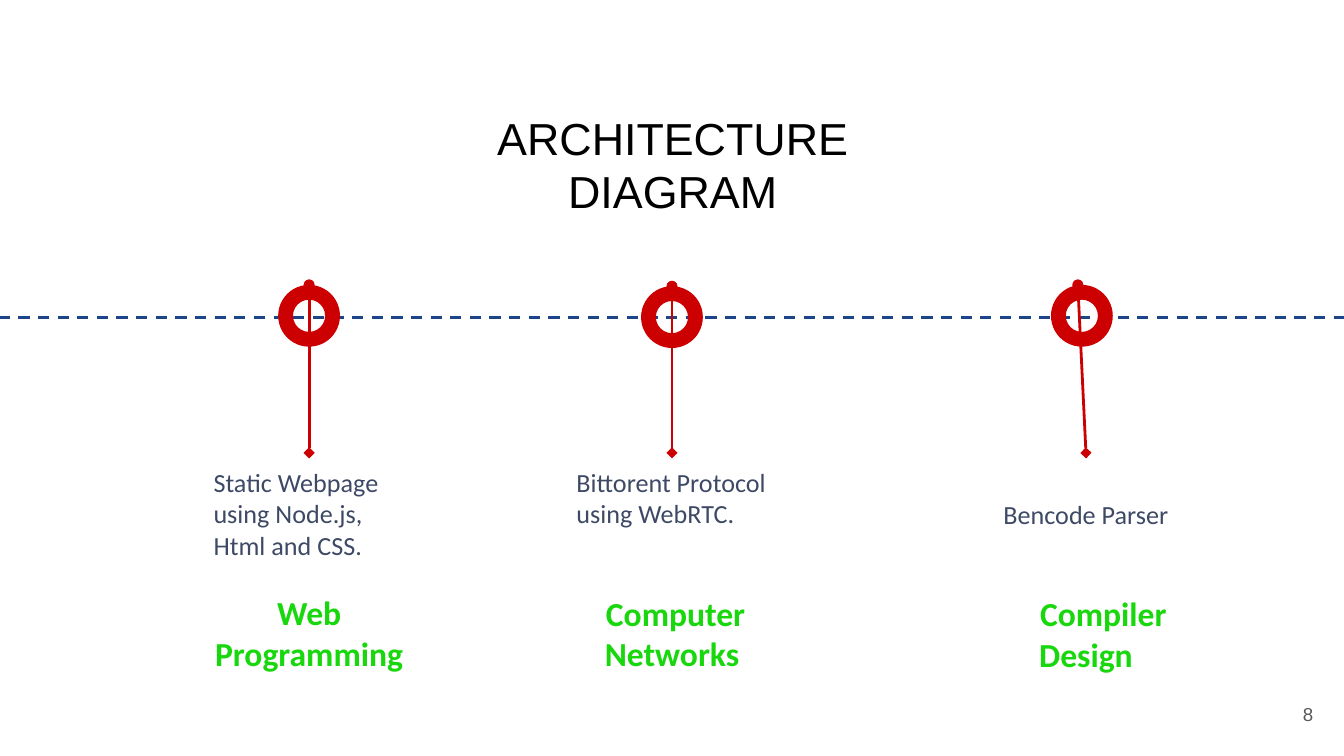
from lxml import etree
from pptx import Presentation
from pptx.dml.color import RGBColor
from pptx.enum.dml import MSO_LINE
from pptx.enum.shapes import MSO_CONNECTOR, MSO_SHAPE
from pptx.enum.text import MSO_ANCHOR, PP_ALIGN
from pptx.oxml.ns import qn
from pptx.util import Inches, Pt

LEFT, CENTER, RIGHT = PP_ALIGN.LEFT, PP_ALIGN.CENTER, PP_ALIGN.RIGHT
TOP, MIDDLE = MSO_ANCHOR.TOP, MSO_ANCHOR.MIDDLE
DASH = MSO_LINE.DASH
STRAIGHT = MSO_CONNECTOR.STRAIGHT
DONUT = MSO_SHAPE.DONUT

COLORS = {
    "title": "000000",
    "timeline": "1C4587",
    "marker": "CC0000",
    "description": "3D4965",
    "subject": "18D70D",
    "number": "595959",
}
STYLES = {
    "title": {"name": "Arial", "size": Pt(24)},
    "description": {"name": "Calibri", "size": Pt(14)},
    "subject": {"name": "Calibri", "size": Pt(18), "bold": True},
    "number": {"name": "Arial", "size": Pt(10)},
}

TIMELINE_Y = 2.36
PIN_BOTTOM = 3.37
TEXT_BOTTOM = 5.44
RING = 0.46
LINE_GAP = 17  # points, one description line

# Paragraphs are (text, style, alignment, format values)
STAGES = [
    {"ring": (2.07, 2.12), "pin": (2.3, 2.3), "text": (1.49, 3.37, 1.62),
     "paragraphs": [
         ("Static Webpage using Node.js, Html and CSS.", "description", LEFT, {}),
         ("Web Programming", "subject", CENTER, {"space_before": Pt(LINE_GAP)})]},
    {"ring": (4.77, 2.13), "pin": (5, 5), "text": (4.19, 3.37, 1.62),
     "paragraphs": [
         ("Bittorent Protocol using WebRTC.", "description", LEFT, {}),
         ("Computer", "subject", LEFT,
          {"space_before": Pt(2 * LINE_GAP), "indent": 0.22}),
         ("Networks", "subject", CENTER, {})]},
    {"ring": (7.82, 2.12), "pin": (8.02, 8.08), "text": (6.89, 3.61, 2.38),
     "paragraphs": [
         ("Bencode Parser", "description", CENTER, {}),
         ("Compiler", "subject", LEFT,
          {"space_before": Pt(2 * LINE_GAP), "indent": 0.75}),
         ("Design", "subject", CENTER, {})]},
]


def color(name):
    return RGBColor.from_string(COLORS[name])


def add_text(slide, box, paragraphs, anchor=TOP):
    tf = slide.shapes.add_textbox(*map(Inches, box)).text_frame
    tf.word_wrap = True
    tf.vertical_anchor = anchor
    for side in ("left", "top", "right", "bottom"):
        setattr(tf, f"margin_{side}", Inches(0.1))
    for i, (text, style, alignment, values) in enumerate(paragraphs):
        p = tf.add_paragraph() if i else tf.paragraphs[0]
        p.alignment = alignment
        for key, value in values.items():
            if key == "indent":
                p._p.get_or_add_pPr().set("marL", str(Inches(value)))
            else:
                setattr(p, key, value)
        r = p.add_run()
        r.text = text
        for key, value in STYLES[style].items():
            setattr(r.font, key, value)
        r.font.color.rgb = color(style)


def add_line(slide, start, end, color_name):
    line = slide.shapes.add_connector(STRAIGHT, *map(Inches, start + end))
    line.line.color.rgb = color(color_name)
    line.line.width = Pt(1.5)
    etree.SubElement(line._element.spPr, qn("a:effectLst"))
    return line


def add_timeline(slide):
    line = add_line(slide, (-0.01, TIMELINE_Y), (10.01, TIMELINE_Y), "timeline")
    line.line.dash_style = DASH


def add_ring(slide, left, top):
    sp = slide.shapes.add_shape(DONUT, *map(Inches, (left, top, RING, RING)))
    sp.adjustments[0] = 0.24
    sp.shadow.inherit = False
    sp.fill.solid()
    sp.fill.fore_color.rgb = color("marker")
    sp.line.fill.background()


def add_pin(slide, top_x, top, bottom_x):
    """Add a line with an oval at the ring and a diamond at the text."""
    pin = add_line(slide, (top_x, top), (bottom_x, PIN_BOTTOM), "marker")
    ln = pin.line._get_or_add_ln()
    for tag, kind in (("a:headEnd", "oval"), ("a:tailEnd", "diamond")):
        etree.SubElement(ln, qn(tag), type=kind, w="med", len="med")


def add_stage(slide, stage):
    ring_left, ring_top = stage["ring"]
    top_x, bottom_x = stage["pin"]
    left, top, width = stage["text"]
    add_ring(slide, ring_left, ring_top)
    add_pin(slide, top_x, ring_top, bottom_x)
    add_text(slide, (left, top, width, TEXT_BOTTOM - top), stage["paragraphs"])


def main():
    prs = Presentation()
    prs.slide_width = Inches(10)
    prs.slide_height = prs.slide_width * 9 // 16
    slide = prs.slides.add_slide(prs.slide_layouts[6])
    add_text(slide, (3.06, 0.72, 3.89, 0.52),
             [("ARCHITECTURE DIAGRAM", "title", CENTER, {})])
    add_timeline(slide)
    for stage in STAGES:
        add_stage(slide, stage)
    add_text(slide, (9.27, 5.1, 0.6, 0.43), [("8", "number", RIGHT, {})], MIDDLE)
    prs.save("out.pptx")


if __name__ == "__main__":
    main()
